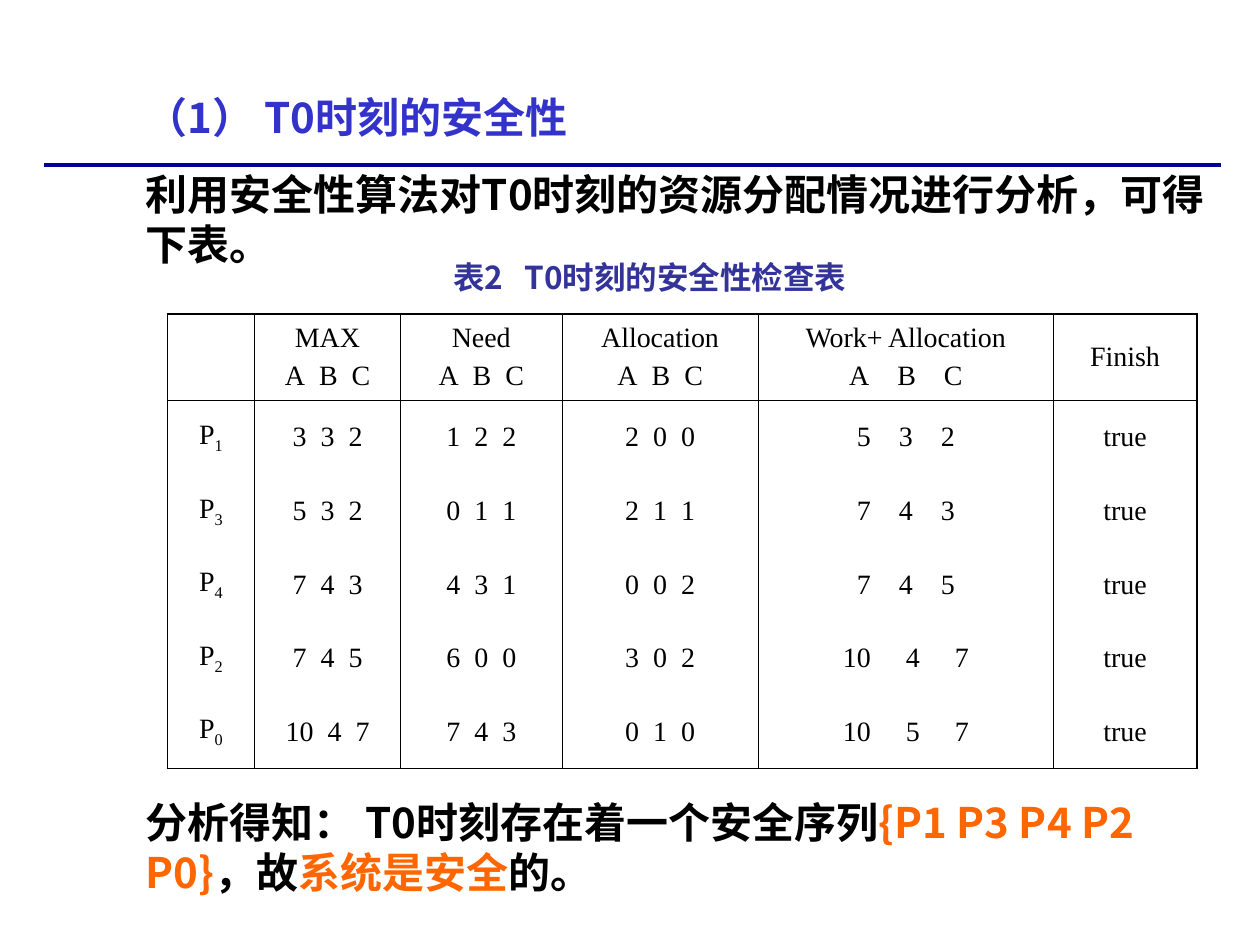
from dataclasses import dataclass

from lxml.etree import SubElement
from pptx import Presentation
from pptx.dml.color import RGBColor as RGB
from pptx.enum.shapes import MSO_CONNECTOR as CONN
from pptx.enum.text import MSO_ANCHOR as ANCHOR, PP_ALIGN as ALIGN
from pptx.oxml.ns import qn
from pptx.util import Inches, Pt


@dataclass(frozen=True)
class Theme:
    black: str = "000000"
    title: str = "3333CC"
    label: str = "333399"
    accent: str = "FF6600"
    rule: str = "000099"
    sans: str = "Noto Sans CJK SC"
    serif: str = "Times New Roman"
    body: int = 24
    note: int = 18
    cell: int = 16
    thick: float = 1.08
    thin: float = 0.45


T = Theme()

HEADS = [
    ("MAX", "A B C"), ("Need", "A B C"), ("Allocation", "A B C"),
    ("Work+ Allocation", "A B C"), ("Finish",),
]
STEPS = [
    ("1", "3 3 2", "1 2 2", "2 0 0", "5 3 2", "true"),
    ("3", "5 3 2", "0 1 1", "2 1 1", "7 4 3", "true"),
    ("4", "7 4 3", "4 3 1", "0 0 2", "7 4 5", "true"),
    ("2", "7 4 5", "6 0 0", "3 0 2", "10 4 7", "true"),
    ("0", "10 4 7", "7 4 3", "0 1 0", "10 5 7", "true"),
]
WIDTHS = [0.69, 1.16, 1.28, 1.56, 2.34, 1.14]
HEAD_H = 0.69
WORK = 4  # column of Work+ Allocation


def write(para, text, *, size, font, color=T.black, bold=False, base=0, track=0):
    """Add one run; track is extra letter spacing in points."""
    run = para.add_run()
    run.text = text
    face = run.font
    face.size, face.bold, face.name = Pt(size), bold, font
    face.color.rgb = RGB.from_string(color)
    props = face._element
    SubElement(props, qn("a:ea")).set("typeface", font)
    if base:
        props.set("baseline", str(base * 1000))
    if track:
        props.set("spc", str(round(track * 100)))


def spread(para, text, track, **form):
    """Write words whose single spaces are widened by track points."""
    for i, word in enumerate(text.split(" ")):
        if i:
            write(para, " ", track=track, **form)
        write(para, word, **form)


def text_box(slide, box, size):
    frame = slide.shapes.add_textbox(*map(Inches, box)).text_frame
    frame.word_wrap = True
    first = frame.paragraphs[0]
    first.line_spacing = Pt(size * 1.2)
    return frame, first


def header(slide, box):
    form = dict(size=T.body, font=T.sans, bold=True)
    frame, title = text_box(slide, box, T.body)
    write(title, "（1） T0时刻的安全性", color=T.title, **form)
    intro = frame.add_paragraph()
    intro.line_spacing, intro.space_before = title.line_spacing, Pt(15)
    write(intro, "利用安全性算法对T0时刻的资源分配情况进行分析，可得下表。", **form)


def caption(slide, box):
    para = text_box(slide, box, T.note)[1]
    spread(para, "表2 T0时刻的安全性检查表", 8,
           size=T.note, font=T.sans, color=T.label, bold=True)


def result(slide, box):
    para = text_box(slide, box, T.body)[1]
    for text, color in [
        ("分析得知： T0时刻存在着一个安全序列", T.black),
        ("{P1 P3 P4 P2 P0}", T.accent),
        ("，故", T.black),
        ("系统是安全", T.accent),
        ("的。", T.black),
    ]:
        write(para, text, size=T.body, font=T.sans, color=color, bold=True)


def rule(slide, left, top, width):
    line = slide.shapes.add_connector(
        CONN.STRAIGHT, Inches(left), Inches(top), Inches(left + width), Inches(top))
    line.line.color.rgb = RGB.from_string(T.rule)
    line.line.width = Pt(2.5)
    SubElement(line._element.spPr, qn("a:effectLst"))


def border(cell, row, col, rows, cols):
    """Thick frame, thin column lines, one thin line under the head."""
    tops = {0: T.thick, 1: T.thin}
    bottoms = {0: T.thin, rows - 1: T.thick}
    edges = {
        "L": T.thin if col else T.thick,
        "R": T.thin if col < cols - 1 else T.thick,
        "T": tops.get(row), "B": bottoms.get(row),
    }
    props = cell._tc.get_or_add_tcPr()
    for side, width in edges.items():
        edge = SubElement(props, qn(f"a:ln{side}"))
        if width:
            edge.set("w", str(Pt(width)))
            fill = SubElement(edge, qn("a:solidFill"))
            SubElement(fill, qn("a:srgbClr")).set("val", T.black)
        else:
            SubElement(edge, qn("a:noFill"))


def fill_cell(cell, row, col, lines):
    form = dict(size=T.cell, font=T.serif)
    cell.vertical_anchor = ANCHOR.MIDDLE
    cell.margin_left = cell.margin_right = Inches(0.1)
    cell.margin_top = cell.margin_bottom = Inches(0.05)
    frame = cell.text_frame
    for i, text in enumerate(lines):
        para = frame.add_paragraph() if i else frame.paragraphs[0]
        para.alignment = ALIGN.CENTER
        if i:
            para.space_before = Pt(4)
        if col == 0:
            write(para, "P", **form)
            write(para, text, base=-25, **form)
        elif row == 0 and i == 0:
            write(para, text, **form)
        else:
            wide = 16 if text.startswith("10") else 12
            spread(para, text, wide if col == WORK else 4, **form)


def safety_table(slide, box):
    data = [[()] + HEADS] + [[(text,) for text in step] for step in STEPS]
    rows, cols = len(data), len(WIDTHS)
    table = slide.shapes.add_table(rows, cols, *map(Inches, box)).table
    table.first_row = table.horz_banding = False
    for col, width in zip(table.columns, WIDTHS):
        col.width = Inches(width)
    step_h = (box[3] - HEAD_H) / len(STEPS)
    for r, values in enumerate(data):
        table.rows[r].height = Inches(step_h if r else HEAD_H)
        for c, lines in enumerate(values):
            cell = table.cell(r, c)
            fill_cell(cell, r, c, lines)
            border(cell, r, c, rows, cols)
            cell.fill.background()


def main():
    deck = Presentation()
    deck.slide_width, deck.slide_height = Inches(10), Inches(7.5)
    slide = deck.slides.add_slide(deck.slide_layouts[6])
    rule(slide, 0.35, 1.31, 9.34)
    safety_table(slide, (1.33, 2.49, sum(WIDTHS), 3.61))
    header(slide, (1.06, 0.68, 8.66, 1.51))
    result(slide, (1.06, 6.27, 8.4, 0.9))
    caption(slide, (3.5, 2, 3.92, 0.4))
    deck.save("out.pptx")


if __name__ == "__main__":
    main()
